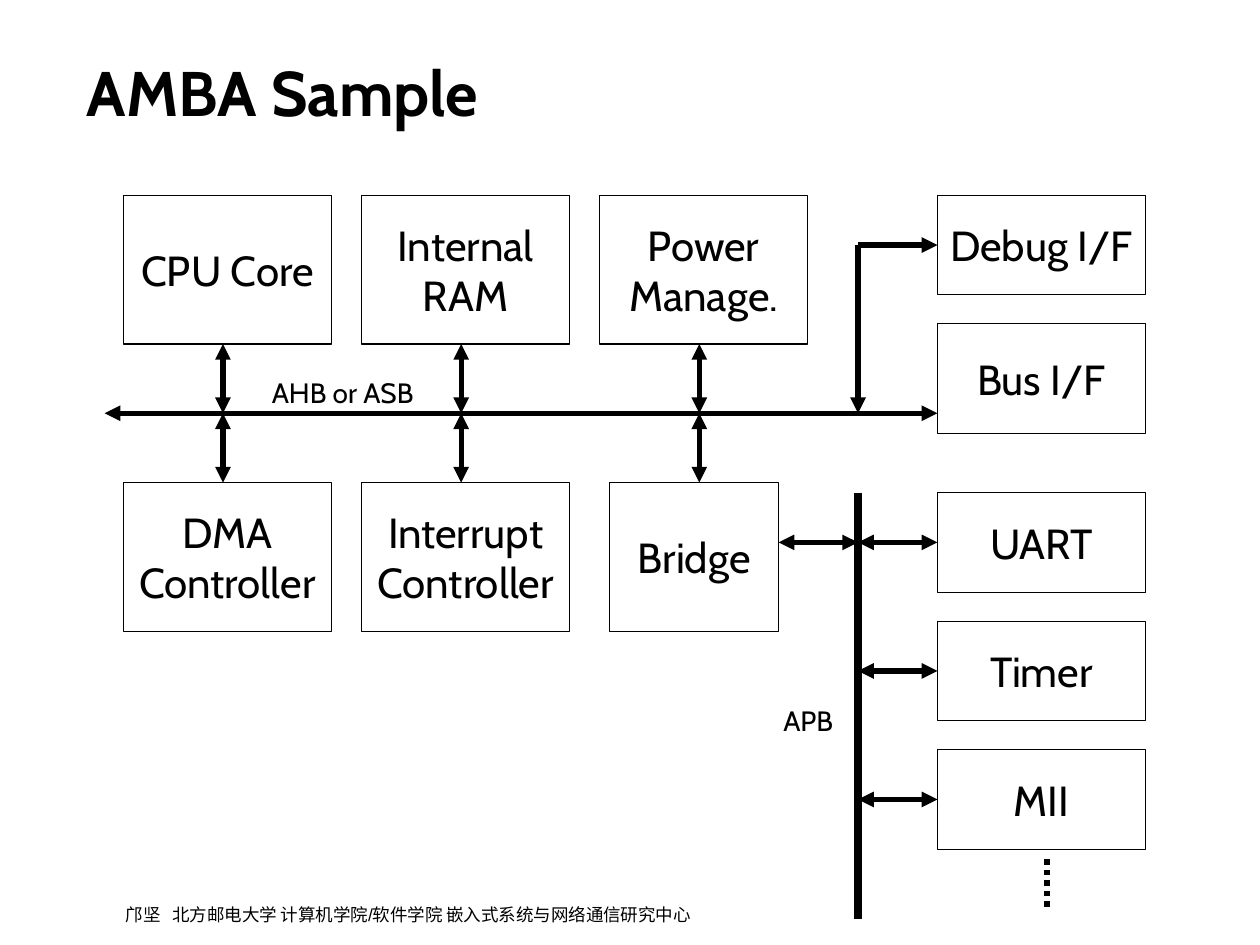
from lxml import etree
from pptx import Presentation
from pptx.dml.color import RGBColor
from pptx.enum.dml import MSO_LINE
from pptx.enum.shapes import MSO_CONNECTOR, MSO_SHAPE
from pptx.enum.text import MSO_ANCHOR, PP_ALIGN
from pptx.oxml.ns import qn
from pptx.util import Inches, Pt

BLACK = RGBColor(0, 0, 0)
RECT = MSO_SHAPE.RECTANGLE
STRAIGHT = MSO_CONNECTOR.STRAIGHT
DOTS = MSO_LINE.ROUND_DOT
LEFT, CENTER = PP_ALIGN.LEFT, PP_ALIGN.CENTER
MIDDLE, BOTTOM = MSO_ANCHOR.MIDDLE, MSO_ANCHOR.BOTTOM
BOTH = ("headEnd", "tailEnd")
END = ("tailEnd",)
LEFT_SIDE = 1


def write(shape, lines, size, font="Cabin", align=CENTER, anchor=MIDDLE,
          bold=False, wrap=False):
    frame = shape.text_frame
    frame.word_wrap = wrap
    frame.vertical_anchor = anchor
    for i, line in enumerate(lines):
        para = frame.add_paragraph() if i else frame.paragraphs[0]
        para.alignment = align
        run = para.add_run()
        run.text = line
        run.font.name = font
        run.font.size = Pt(size)
        run.font.bold = bold
        run.font.color.rgb = BLACK


def label(slide, x, y, w, h, text, size, **style):
    box = slide.shapes.add_textbox(Inches(x), Inches(y), Inches(w), Inches(h))
    write(box, [text], size, **style)
    return box


def block(slide, x, y, w, h, *lines):
    box = slide.shapes.add_shape(RECT, Inches(x), Inches(y), Inches(w), Inches(h))
    box.shadow.inherit = False
    box.fill.background()
    box.line.color.rgb = BLACK
    box.line.width = Pt(0.75)
    write(box, lines, 24)
    return box


def wire(slide, x1, y1, x2, y2, ends=BOTH, width=3):
    link = slide.shapes.add_connector(
        STRAIGHT, Inches(x1), Inches(y1), Inches(x2), Inches(y2))
    link.line.color.rgb = BLACK
    link.line.width = Pt(width)
    props = link._element.spPr
    for end in ends:
        etree.SubElement(props.find(qn("a:ln")), qn("a:" + end), type="triangle")
    etree.SubElement(props, qn("a:effectLst"))
    return link


def heading(slide, x, y, w, h):
    label(slide, x, y, w, h, "AMBA Sample", 36, align=LEFT, anchor=BOTTOM,
          bold=True, wrap=True)


def footer(slide, x, y, w, h):
    text = "邝坚\t北方邮电大学 计算机学院/软件学院 嵌入式系统与网络通信研究中心"
    box = label(slide, x, y, w, h, text, 10, font="Arial", align=LEFT, wrap=True)
    props = box.text_frame.paragraphs[0]._p.get_or_add_pPr()
    stops = etree.SubElement(props, qn("a:tabLst"))
    etree.SubElement(stops, qn("a:tab"), pos=str(Inches(0.37)), algn="l")


def system(slide, x, y):
    """Blocks above and below the main bus."""
    wide, high, step = 1.65, 1.18, 1.89
    bus, low = y + 1.73, y + 2.28
    upper = [("CPU Core",), ("Internal", "RAM"), ("Power", "Manage.")]
    lower = [("DMA", "Controller"), ("Interrupt", "Controller")]
    # Main bus
    wire(slide, x - 0.15, bus, x + 6.46, bus)
    label(slide, x + 0.94, y + 1.41, 1.6, 0.31, "AHB or ASB", 16)
    # Blocks
    for i, lines in enumerate(upper):
        block(slide, x + i * step, y, wide, high, *lines)
    for i, lines in enumerate(lower):
        block(slide, x + i * step, low, wide, high, *lines)
    block(slide, x + 3.86, low, 1.34, high, "Bridge")
    # Drops to the bus
    for i in range(len(upper)):
        mid = x + 0.79 + i * step
        wire(slide, mid, y + high, mid, bus)
        wire(slide, mid, bus, mid, low)


def ports(slide, x, y):
    """Debug and bus interfaces, with the branch from the main bus."""
    left, high = x + 0.63, 0.79
    mid = y + high / 2
    debug = block(slide, left, y, 1.65, high, "Debug I/F")
    block(slide, left, y + 1.02, 1.65, 0.87, "Bus I/F")
    wire(slide, x, mid, left, mid, END).end_connect(debug, LEFT_SIDE)
    wire(slide, x, mid, x, y + 1.73, END)


def devices(slide, x, y):
    """Peripheral bus with its devices."""
    left, high, step = x + 0.63, 0.79, 1.02
    wire(slide, x, y, x, y + 3.38, (), 4.5)
    label(slide, x - 0.76, y + 1.65, 0.73, 0.31, "APB", 16)
    for i, name in enumerate(["UART", "Timer", "MII"]):
        top = y + i * step
        mid = top + high / 2
        box = block(slide, left, top, 1.65, high, name)
        wire(slide, x, mid, left, mid).end_connect(box, LEFT_SIDE)
    # Link from the bridge
    wire(slide, x - 0.63, y + high / 2, x, y + high / 2)
    # More devices follow
    more = wire(slide, x + 1.5, y + 2.91, x + 1.5, y + 3.31, ())
    more.line.dash_style = DOTS


def main():
    deck = Presentation()
    deck.slide_width, deck.slide_height = Inches(10), Inches(7.5)
    slide = deck.slides.add_slide(deck.slide_layouts[6])
    footer(slide, 0.9, 7.14, 5.83, 0.24)
    heading(slide, 0.59, 0.32, 9.41, 0.75)
    system(slide, 0.98, 1.55)
    ports(slide, 6.81, 1.55)
    devices(slide, 6.81, 3.91)
    deck.save("out.pptx")


if __name__ == "__main__":
    main()
